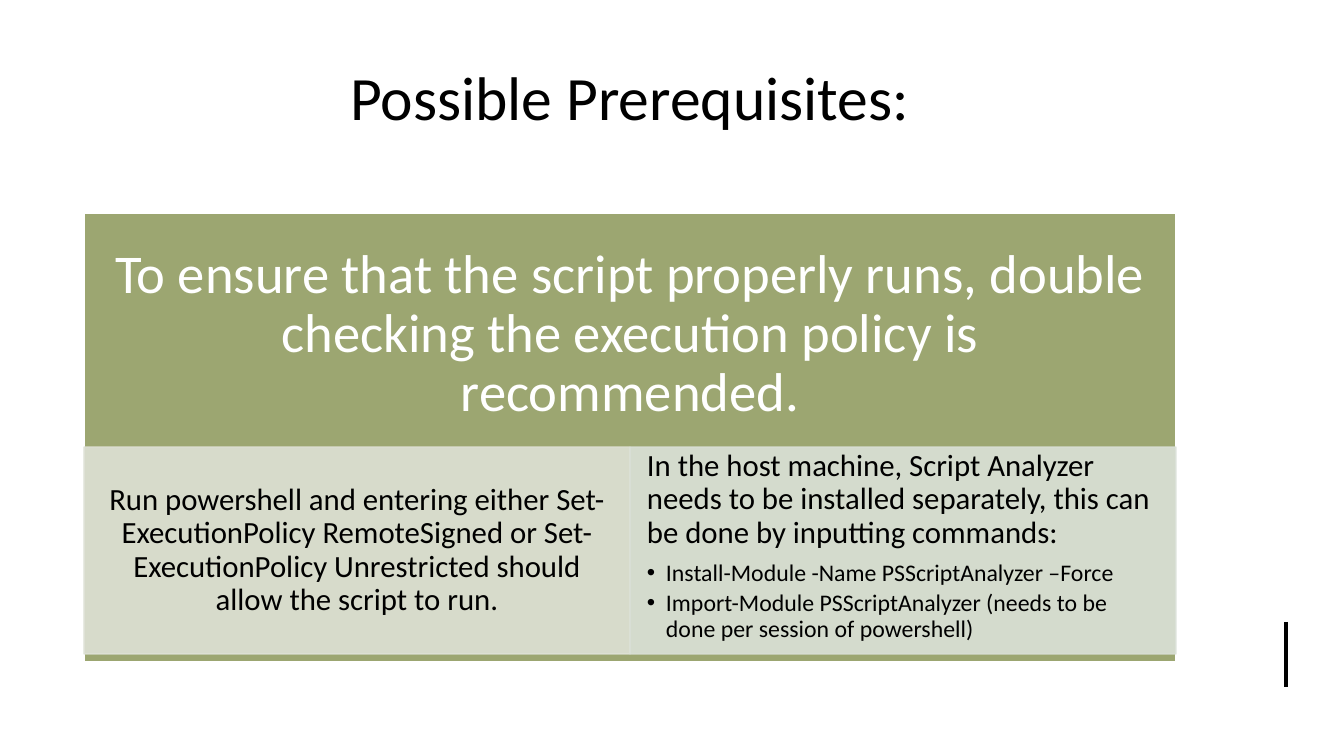
from dataclasses import dataclass

from lxml import etree
from pptx import Presentation
from pptx.dml.color import RGBColor
from pptx.enum.shapes import MSO_CONNECTOR, MSO_SHAPE
from pptx.enum.text import MSO_ANCHOR, MSO_AUTO_SIZE, PP_ALIGN
from pptx.oxml.ns import qn
from pptx.util import Emu, Pt

LEFT, CENTER = PP_ALIGN.LEFT, PP_ALIGN.CENTER
TOP, MIDDLE = MSO_ANCHOR.TOP, MSO_ANCHOR.MIDDLE
NO_AUTOFIT = MSO_AUTO_SIZE.NONE
RECTANGLE, STRAIGHT = MSO_SHAPE.RECTANGLE, MSO_CONNECTOR.STRAIGHT
EMU_PER_PIXEL = 914400 / 100.8


def px(pixels):
    return Emu(round(pixels * EMU_PER_PIXEL))


@dataclass(frozen=True)
class Theme:
    font: str = "Calibri"
    black: str = "000000"
    white: str = "FFFFFF"
    panel: str = "9CA671"
    policy_cell: str = "DEE1D5"
    module_cell: str = "DBE1D8"
    cell_opacity: int = 90
    title_size: int = 44
    heading_size: int = 39
    body_size: int = 22
    bullet_size: int = 17


class SlideBuilder:
    def __init__(self, deck, theme):
        self.theme = theme
        self.slide = deck.slides.add_slide(deck.slide_layouts[1])
        background = self.slide.background.fill
        background.solid()
        background.fore_color.rgb = RGBColor.from_string(theme.white)

    def place(self, shape, area):
        shape.left, shape.top, shape.width, shape.height = map(px, area)

    def paint(self, shape, fill, line, opacity=100):
        shape.line.width = Pt(1)
        for paint, color in ((shape.fill, fill), (shape.line.fill, line)):
            paint.solid()
            paint.fore_color.rgb = RGBColor.from_string(color)
        if opacity < 100:
            for color in shape.element.spPr.iter(qn("a:srgbClr")):
                etree.SubElement(color, qn("a:alpha"), val=str(opacity * 1000))

    def frame(self, shape, anchor, inset_x, inset_y):
        frame = shape.text_frame
        frame.word_wrap = True
        frame.auto_size = NO_AUTOFIT
        frame.vertical_anchor = anchor
        frame.margin_left = frame.margin_right = px(inset_x)
        frame.margin_top = frame.margin_bottom = px(inset_y)
        return frame

    def fill_para(self, para, text, size, color, align=CENTER, after=8, spacing=0.9):
        para.alignment = align
        para.line_spacing = spacing
        para.space_before, para.space_after = Pt(0), Pt(after)
        span = para.add_run()
        span.text = text
        span.font.name = self.theme.font
        span.font.size = Pt(size)
        span.font.color.rgb = RGBColor.from_string(color)

    def bullet(self, para, character=None, indent=0):
        properties = para._p.get_or_add_pPr()
        properties.set("marL", str(px(indent)))
        properties.set("indent", str(-px(indent)))
        if character:
            etree.SubElement(properties, qn("a:buFont"), typeface="Arial")
            etree.SubElement(properties, qn("a:buChar"), char=character)
        else:
            etree.SubElement(properties, qn("a:buNone"))

    def title(self, text, area):
        title = self.slide.shapes.title
        self.place(title, area)
        frame = self.frame(title, MIDDLE, 10, 5)
        self.fill_para(frame.paragraphs[0], text, self.theme.title_size,
                       self.theme.black, after=0, spacing=1.0)

    def rectangle(self, area, fill, line, opacity=100):
        box = self.slide.shapes.add_shape(RECTANGLE, *map(px, area))
        box.shadow.inherit = False
        self.paint(box, fill, line, opacity)
        return box

    def heading(self, text, area):
        box = self.slide.shapes.add_textbox(*map(px, area))
        frame = self.frame(box, MIDDLE, 30, 30)
        self.fill_para(frame.paragraphs[0], text, self.theme.heading_size, self.theme.white)

    def text_cell(self, text, area, color):
        box = self.rectangle(area, color, color, self.theme.cell_opacity)
        frame = self.frame(box, MIDDLE, 17, 3)
        self.fill_para(frame.paragraphs[0], text, self.theme.body_size, self.theme.black)

    def list_cell(self, lead, items, area, color):
        body = self.slide.placeholders[1]
        body.element.getparent().append(body.element)  # bring in front of the panel
        self.place(body, area)
        self.paint(body, color, color, self.theme.cell_opacity)
        frame = self.frame(body, TOP, 17, 3)
        para = frame.paragraphs[0]
        self.fill_para(para, lead, self.theme.body_size, self.theme.black, LEFT)
        self.bullet(para)
        for item in items:
            para = frame.add_paragraph()
            para.level = 1
            self.fill_para(para, item, self.theme.bullet_size, self.theme.black, LEFT, after=3)
            self.bullet(para, "•", 19)

    def rule(self, start, end, color, width):
        line = self.slide.shapes.add_connector(STRAIGHT, *map(px, start + end))
        line.line.color.rgb = RGBColor.from_string(color)
        line.line.width = Pt(width)
        etree.SubElement(line.element.spPr, qn("a:effectLst"))


deck = Presentation()
deck.slide_width, deck.slide_height = px(1344), px(756)
theme = Theme()
page = SlideBuilder(deck, theme)

# Title and side rule
left, width = 84, 1092
page.title("Possible Prerequisites:", (left, 32, width, 128))
page.rule((1286, 622), (1286, 687), theme.black, 3)

# Panel with its heading
panel_top = 213
page.rectangle((left, panel_top, width, 449), theme.panel, theme.white)
page.heading("To ensure that the script properly runs, double checking the "
             "execution policy is recommended.", (left, panel_top, width, 243))

# Two equal cells
cell_top, cell_width, cell_height = 447, width // 2, 207
policy_area, module_area = [
    (left + column * cell_width, cell_top, cell_width, cell_height) for column in range(2)
]
page.text_cell("Run powershell and entering either Set-ExecutionPolicy RemoteSigned or "
               "Set-ExecutionPolicy Unrestricted should allow the script to run.",
               policy_area, theme.policy_cell)
page.list_cell("In the host machine, Script Analyzer needs to be installed separately, "
               "this can be done by inputting commands:",
               ["Install-Module -Name PSScriptAnalyzer –Force",
                "Import-Module PSScriptAnalyzer (needs to be done per session of powershell)"],
               module_area, theme.module_cell)

deck.save("out.pptx")
